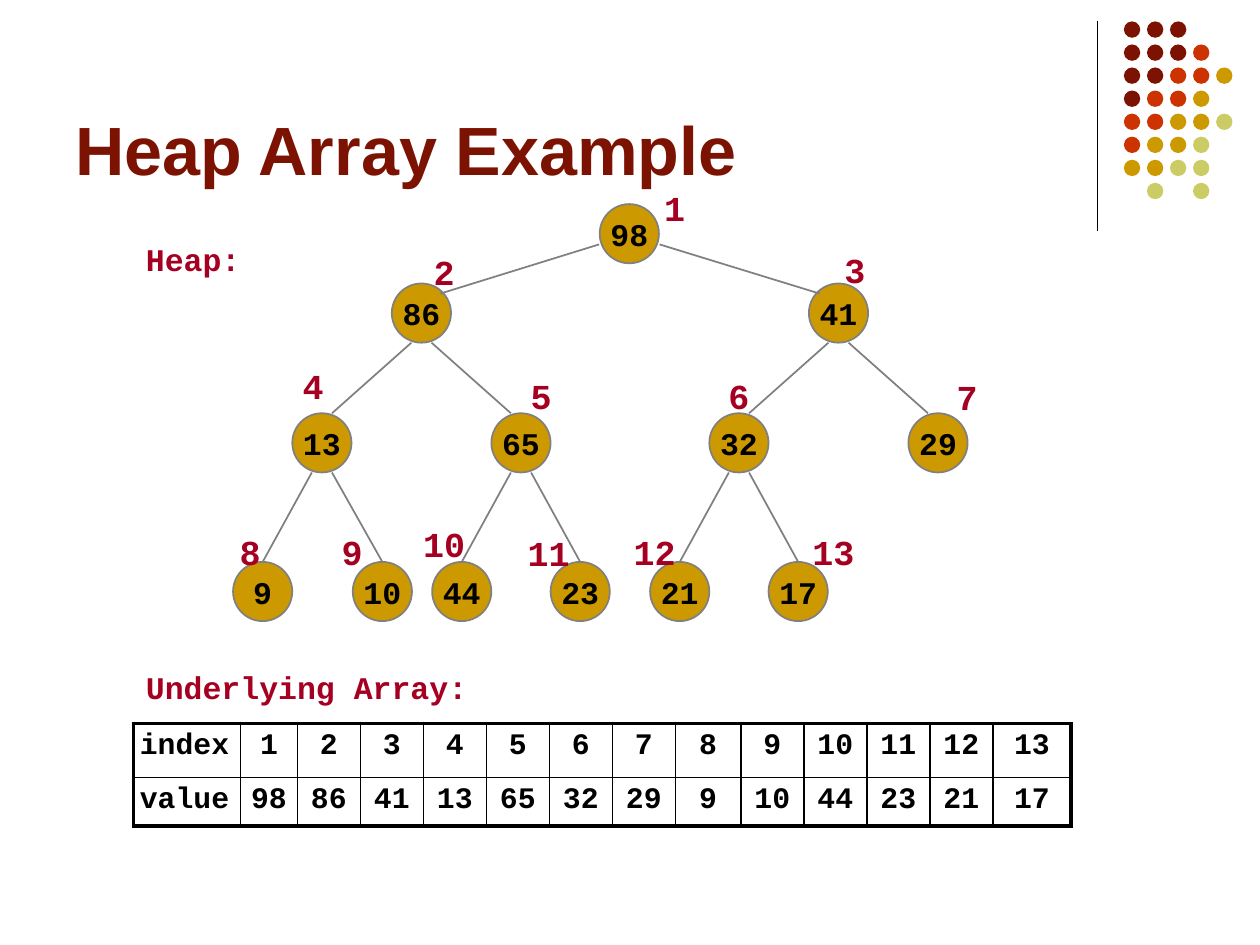
from lxml import etree
from pptx import Presentation
from pptx.dml.color import RGBColor
from pptx.enum import shapes, text
from pptx.oxml.ns import qn
from pptx.util import Inches, Pt

TITLE = "Heap Array Example"
MONO = "Courier New"
BLACK, GRAY, GOLD, CRIMSON, MAROON = "000000", "808080", "CC9900", "A50021", "7C1302"

# Heap in array order: value, node left, label (left, top, width)
HEAP = [
    (98, 4.76, (5.12, 1.43, 0.47)),
    (86, 3.11, (3.29, 1.94, 0.47)),
    (41, 6.42, (6.55, 1.92, 0.47)),
    (13, 2.32, (2.25, 2.84, 0.47)),
    (65, 3.90, (4.06, 2.92, 0.47)),
    (32, 5.63, (5.63, 2.92, 0.47)),
    (29, 7.21, (7.44, 2.93, 0.47)),
    (9, 1.85, (1.75, 4.16, 0.47)),
    (10, 2.80, (2.56, 4.16, 0.47)),
    (44, 3.43, (3.21, 4.10, 0.63)),
    (23, 4.37, (4.04, 4.17, 0.63)),
    (21, 5.16, (4.84, 4.16, 0.71)),
    (17, 6.10, (6.26, 4.16, 0.71)),
]
LEVEL_TOPS = [1.62, 2.25, 3.28, 4.46]
NODE = 0.47
# Per parent level: parent (dx from centre, dy from top), child (dx, dy)
EDGE_ENDS = [
    ((0.24, 0.32), (0.15, 0.08)),
    ((0.08, NODE), (0.08, 0)),
    ((0.08, NODE), (0, 0)),
]
CAPTIONS = [("Heap:", 1.86, 1.5), ("Underlying Array:", 5.25, 4.1)]
COLUMNS = [0.85, 0.45] + [0.5] * 7 + [0.52] + [0.5] * 3 + [0.62]
COLUMNS[8], COLUMNS[9] = 0.52, 0.5
ROWS = [0.43, 0.38]

DOT_COLORS = {"m": MAROON, "r": "CC3300", "g": GOLD, "y": "CCCC66"}
DOT_ROWS = ["mmm", "mmmr", "mmrrg", "mrrg", "rrggy", "rggy", "ggyy", " y y"]
DOT, DOT_PITCH = 0.13, 0.183


def rgb(value):
    return RGBColor.from_string(value)


def style(paragraph, size, color, name=MONO, align=text.PP_ALIGN.LEFT):
    font = paragraph.font
    font.name, font.size, font.bold = name, Pt(size), True
    font.color.rgb = rgb(color)
    paragraph.alignment = align


def add_text(slide, words, box, size, color, name=MONO,
             align=text.PP_ALIGN.LEFT, anchor=text.MSO_ANCHOR.TOP):
    frame = slide.shapes.add_textbox(*map(Inches, box)).text_frame
    frame.word_wrap = True
    frame.vertical_anchor = anchor
    frame.text = words
    style(frame.paragraphs[0], size, color, name, align)


def add_circle(slide, left, top, size, fill):
    circle = slide.shapes.add_shape(
        shapes.MSO_SHAPE.OVAL, *map(Inches, (left, top, size, size)))
    circle.shadow.inherit = False
    circle.fill.solid()
    circle.fill.fore_color.rgb = rgb(fill)
    circle.line.fill.background()
    return circle


def add_line(slide, start, end, color, width):
    line = slide.shapes.add_connector(
        shapes.MSO_CONNECTOR.STRAIGHT, *map(Inches, (*start, *end)))
    line.line.color.rgb = rgb(color)
    line.line.width = Pt(width)
    etree.SubElement(line._element.spPr, qn("a:effectLst"))


def add_dots(slide):
    add_line(slide, (8.71, 0.17), (8.71, 1.83), BLACK, 0.75)
    for row, codes in enumerate(DOT_ROWS):
        for col, code in enumerate(codes):
            if code != " ":
                add_circle(slide, 8.92 + col * DOT_PITCH, 0.17 + row * DOT_PITCH,
                           DOT, DOT_COLORS[code])


def level(index):
    """Tree depth of a 1-based heap index."""
    return index.bit_length() - 1


def add_edge(slide, index):
    """Join a node to its parent, index // 2."""
    parent = index // 2
    (parent_dx, parent_dy), (child_dx, child_dy) = EDGE_ENDS[level(parent)]
    side = 1 if index % 2 else -1
    parent_x = HEAP[parent - 1][1] + NODE / 2 + side * parent_dx
    child_x = HEAP[index - 1][1] + NODE / 2 - side * child_dx
    add_line(slide, (parent_x, LEVEL_TOPS[level(parent)] + parent_dy),
             (child_x, LEVEL_TOPS[level(index)] + child_dy), GRAY, 1)


def add_node(slide, index, value, left):
    node = add_circle(slide, left, LEVEL_TOPS[level(index)], NODE, GOLD)
    node.line.color.rgb = rgb(GRAY)
    node.line.width = Pt(1)
    frame = node.text_frame
    frame.margin_left = frame.margin_right = frame.margin_top = frame.margin_bottom = 0
    frame.word_wrap = False
    frame.vertical_anchor = text.MSO_ANCHOR.MIDDLE
    frame.text = str(value)
    style(frame.paragraphs[0], 18, BLACK, align=text.PP_ALIGN.CENTER)


def set_borders(cell, widths):
    """Set left, right, top and bottom borders, in points."""
    props = cell._tc.get_or_add_tcPr()
    for place, (edge, width) in enumerate(zip("LRTB", widths)):
        border = etree.Element(qn(f"a:ln{edge}"), w=str(Pt(width)))
        fill = etree.SubElement(border, qn("a:solidFill"))
        etree.SubElement(fill, qn("a:srgbClr"), val=BLACK)
        props.insert(place, border)


def add_array(slide):
    cells = [["index", *range(1, len(HEAP) + 1)],
             ["value", *(value for value, _, _ in HEAP)]]
    last_row, last_col = len(ROWS) - 1, len(COLUMNS) - 1
    table = slide.shapes.add_table(
        len(ROWS), len(COLUMNS),
        *map(Inches, (1.06, 5.74, sum(COLUMNS), sum(ROWS)))).table
    table.first_row = table.horz_banding = False
    for column, width in zip(table.columns, COLUMNS):
        column.width = Inches(width)
    for r, (values, height) in enumerate(zip(cells, ROWS)):
        table.rows[r].height = Inches(height)
        for c, value in enumerate(values):
            cell = table.cell(r, c)
            cell.margin_left = cell.margin_right = Inches(0.05)
            cell.margin_top = cell.margin_bottom = Inches(0.05)
            cell.text = str(value)
            style(cell.text_frame.paragraphs[0], 17, BLACK,
                  align=text.PP_ALIGN.CENTER if c else text.PP_ALIGN.LEFT)
            cell.fill.background()
            outer = (c == 0, c == last_col, r == 0, r == last_row)
            set_borders(cell, [2.25 if side else 1 for side in outer])


def main():
    deck = Presentation()
    deck.slide_width, deck.slide_height = Inches(10), Inches(7.5)
    slide = deck.slides.add_slide(deck.slide_layouts[6])
    add_dots(slide)
    add_text(slide, TITLE, (0.5, 0.13, 8.25, 1.42), 39, MAROON, "Arial",
             anchor=text.MSO_ANCHOR.BOTTOM)
    for index, (value, left, _) in enumerate(HEAP, 1):
        add_node(slide, index, value, left)
    for index in range(2, len(HEAP) + 1):
        add_edge(slide, index)
    add_array(slide)
    for words, top, width in CAPTIONS:
        add_text(slide, words, (1.06, top, width, 0.4), 18, CRIMSON)
    for index, (_, _, label) in enumerate(HEAP, 1):
        add_text(slide, str(index), (*label, 0.43), 20, CRIMSON,
                 align=text.PP_ALIGN.CENTER)
    deck.save("out.pptx")


if __name__ == "__main__":
    main()
